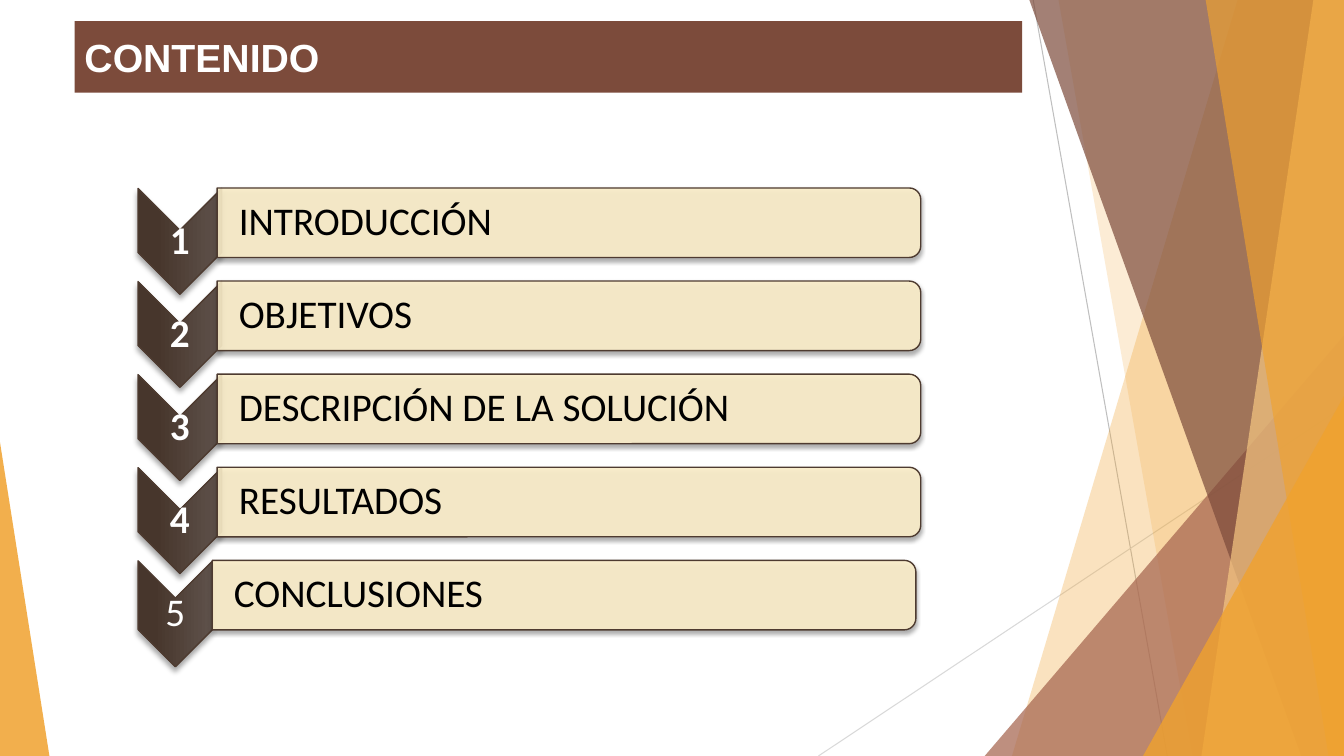
import pptx
import pptx.util
import pptx.dml.color
import pptx.enum.shapes
import pptx.enum.text
import pptx.oxml
import pptx.oxml.ns

Pt = pptx.util.Pt
Shape = pptx.enum.shapes.MSO_SHAPE
Align = pptx.enum.text.PP_ALIGN
Anchor = pptx.enum.text.MSO_ANCHOR

WIDTH, HEIGHT = 960, 540
GOLD, BROWN, RUST, SAND = "F0A22E", "7C4B3B", "A5644E", "F6C782"
OUTLINE = "4E3B30"
SECTIONS = ["INTRODUCCIÓN", "OBJETIVOS", "DESCRIPCIÓN DE LA SOLUCIÓN",
            "RESULTADOS", "CONCLUSIONES"]
ROW_PITCH = 66.5
CHEVRON_LEFT, CHEVRON_LENGTH = 98.6, 75.6


def color(value):
    return pptx.dml.color.RGBColor.from_string(value)


def paint(shape, fill, opacity=100, line=None):
    shape.shadow.inherit = False
    shape.fill.solid()
    shape.fill.fore_color.rgb = color(fill)
    if opacity < 100:
        tag = pptx.oxml.ns.qn("a:srgbClr")
        alpha = next(shape._element.spPr.iter(tag)).makeelement(
            pptx.oxml.ns.qn("a:alpha"), {"val": str(opacity * 1000)})
        next(shape._element.spPr.iter(tag)).append(alpha)
    outline(shape, line)


def outline(shape, line):
    if line:
        shape.line.color.rgb = color(line)
        shape.line.width = Pt(1)
    else:
        shape.line.fill.background()


def cast_shadow(shape, blur, distance):
    effects = shape._element.spPr.find(pptx.oxml.ns.qn("a:effectLst"))
    effects.append(pptx.oxml.parse_xml(
        f'<a:outerShdw {pptx.oxml.ns.nsdecls("a")} blurRad="{Pt(blur)}" '
        f'dist="{Pt(distance)}" dir="5400000" rotWithShape="0">'
        '<a:srgbClr val="000000"><a:alpha val="35000"/></a:srgbClr></a:outerShdw>'))


def add_preset(slide, kind, left, top, width, height):
    return slide.shapes.add_shape(kind, Pt(left), Pt(top), Pt(width), Pt(height))


def add_upright(slide, kind, center_x, center_y, length, breadth):
    shape = add_preset(slide, kind, center_x - length / 2,
                       center_y - breadth / 2, length, breadth)
    shape.rotation = 90
    return shape


def add_line(slide, start, end, line):
    connector = slide.shapes.add_connector(
        pptx.enum.shapes.MSO_CONNECTOR.STRAIGHT, *map(Pt, start + end))
    connector.line.color.rgb = color(line)
    connector.line.width = Pt(0.75)
    properties = connector._element.spPr
    properties.append(properties.makeelement(pptx.oxml.ns.qn("a:effectLst"), {}))


def add_facet(slide, top_x, bottom_x, fill, opacity):
    builder = slide.shapes.build_freeform(Pt(top_x), Pt(-0.5))
    builder.add_line_segments([(Pt(WIDTH), Pt(-0.5)), (Pt(WIDTH), Pt(HEIGHT)),
                               (Pt(bottom_x), Pt(HEIGHT))], close=True)
    paint(builder.convert_to_shape(), fill, opacity)


def add_corner(slide, left, top, width, apex, fill, opacity):
    triangle = add_preset(slide, Shape.ISOSCELES_TRIANGLE, left, top, width, HEIGHT - top)
    triangle.adjustments[0] = apex
    paint(triangle, fill, opacity)


def write(shape, text, font="Calibri", fill="000000", bold=False,
          align=Align.LEFT, spacing=1.0):
    frame = shape.text_frame
    frame.word_wrap = True
    frame.vertical_anchor = Anchor.MIDDLE
    paragraph = frame.paragraphs[0]
    paragraph.alignment = align
    paragraph.line_spacing = spacing
    run = paragraph.add_run()
    run.text = text
    run.font.name = font
    run.font.size = Pt(28)
    run.font.bold = bold
    run.font.color.rgb = color(fill)


def add_label(slide, text, left, center_y, width, height, inset=1.4, **style):
    box = slide.shapes.add_textbox(Pt(left), Pt(center_y - height / 2),
                                   Pt(width), Pt(height))
    frame = box.text_frame
    frame.margin_left = Pt(inset)
    frame.margin_right = frame.margin_top = frame.margin_bottom = Pt(1.4)
    write(box, text, spacing=0.9, **style)


def add_chevron(slide, center_x, center_y, breadth):
    chevron = add_upright(slide, Shape.CHEVRON, center_x, center_y,
                          CHEVRON_LENGTH, breadth)
    paint(chevron, "47362C", line=OUTLINE)
    chevron.fill.gradient()
    chevron.fill.gradient_angle = 270
    for stop, (position, value) in zip(chevron.fill.gradient_stops,
                                       [(0, "5F524B"), (0.78, "47362C")]):
        stop.position = position
        stop.color.rgb = color(value)
    cast_shadow(chevron, 4, 3)


def add_section(slide, index, title):
    last = index == len(SECTIONS) - 1
    breadth = 53.3 if last else 59.8
    shift = -3.5 if last else 0
    chevron_y = 172.4 + index * ROW_PITCH
    bar_y = 159.1 + index * ROW_PITCH
    add_chevron(slide, CHEVRON_LEFT + breadth / 2, chevron_y, breadth)
    add_label(slide, str(index + 1), CHEVRON_LEFT, chevron_y, breadth,
              CHEVRON_LENGTH - breadth, fill="FFFFFF", bold=not last,
              align=Align.CENTER)
    bar = add_upright(slide, Shape.ROUND_2_SAME_RECTANGLE, 406.4 + shift, bar_y,
                      49.7, 502.6)
    paint(bar, "FBEEC9", 90, OUTLINE)
    cast_shadow(bar, 3, 2)
    add_label(slide, title, 154.8 + shift, bar_y, 500.4, 44.6, inset=15.8)


def add_backdrop(slide):
    add_line(slide, (738, 0), (833.8, HEIGHT), "BFBFBF")
    add_line(slide, (WIDTH, 290.2), (584.6, HEIGHT), "D9D9D9")
    add_facet(slide, 884.2, 722.9, GOLD, 30)
    add_facet(slide, 756, 851.8, GOLD, 20)
    add_corner(slide, 703.4, 239.8, 256.6, 1, RUST, 72)
    add_facet(slide, 735.1, 929.5, BROWN, 70)
    add_facet(slide, 938.2, 858.2, SAND, 70)
    add_facet(slide, 861.1, 949, GOLD, 65)
    add_corner(slide, 816.5, 283, 143.5, 1, GOLD, 80)
    add_corner(slide, 0, 316, 35.3, 0, GOLD, 85)


def main():
    presentation = pptx.Presentation()
    presentation.slide_width = Pt(WIDTH)
    presentation.slide_height = Pt(HEIGHT)
    slide = presentation.slides.add_slide(presentation.slide_layouts[6])
    add_backdrop(slide)
    banner = add_preset(slide, Shape.RECTANGLE, 53.3, 15.1, 676.8, 51.1)
    paint(banner, BROWN)
    write(banner, "CONTENIDO", font="Arial", fill="FFFFFF", bold=True)
    for index, title in enumerate(SECTIONS):
        add_section(slide, index, title)
    presentation.save("out.pptx")


if __name__ == "__main__":
    main()
